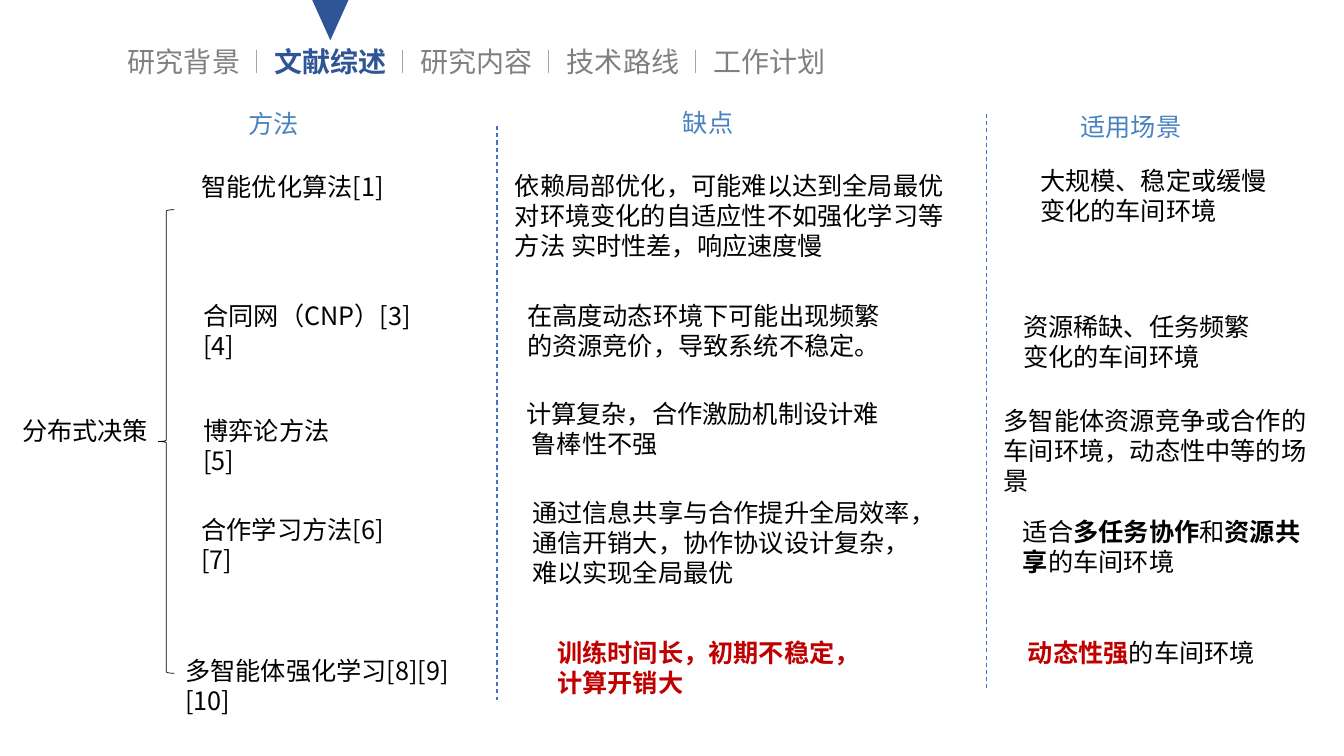
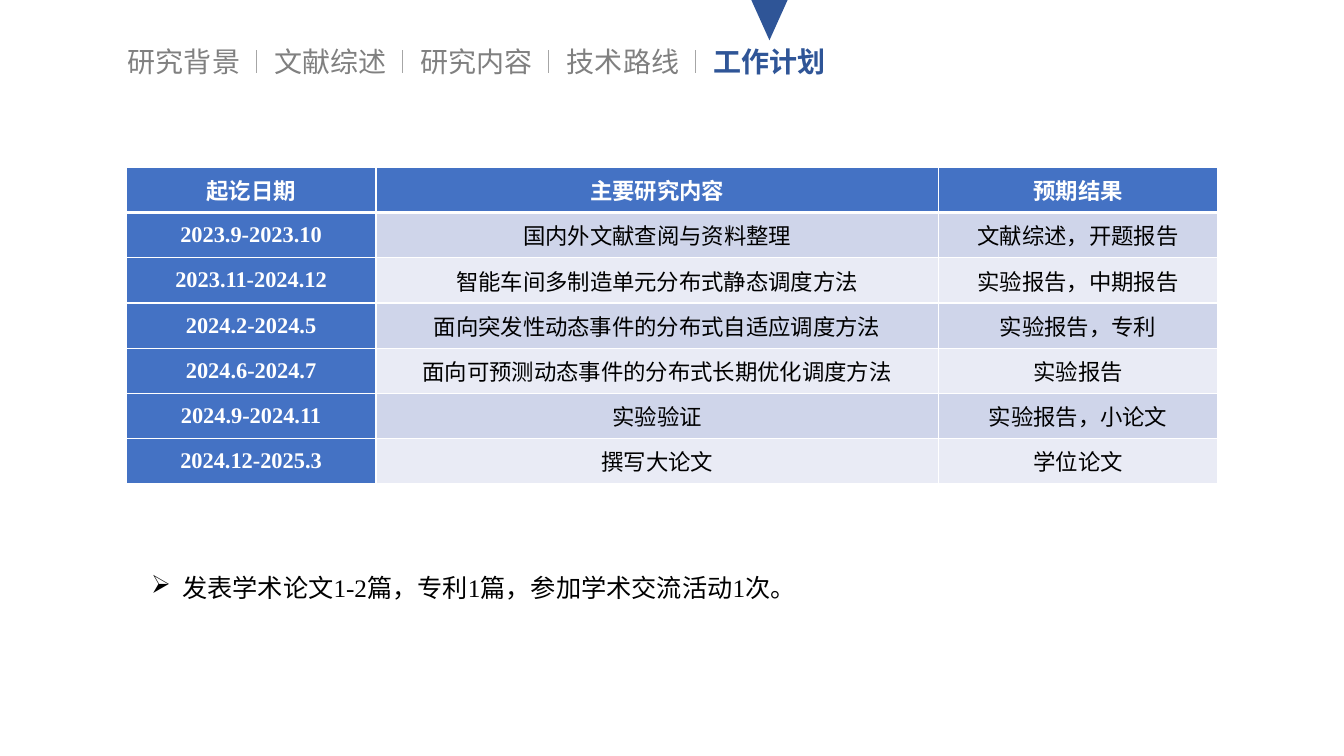
from lxml.etree import SubElement
from pptx import Presentation
from pptx.dml.color import RGBColor
from pptx.enum.dml import MSO_LINE
from pptx.enum.shapes import MSO_CONNECTOR, MSO_SHAPE
from pptx.enum.text import MSO_ANCHOR, MSO_AUTO_SIZE, PP_ALIGN
from pptx.oxml.ns import qn
from pptx.util import Inches, Pt

HUES = {
    "navy": "2F5597", "blue": "4472C4", "sky": "4883C0", "gray": "808080",
    "rule": "A6A6A6", "red": "C00000", "black": "000000", "white": "FFFFFF",
    "band": "CFD5EA", "pale": "E9EBF5",
}
SANS, SERIF = "Noto Sans CJK SC", "Times New Roman"
TABS = ["研究背景", "文献综述", "研究内容", "技术路线", "工作计划"]


def hue(name):
    return RGBColor.from_string(HUES[name])


def write(para, text, size=18, color="black", bold=False, font=SANS, align=None):
    """Add one run of formatted text to a paragraph."""
    if align:
        para.alignment = align
    run = para.add_run()
    run.text = text
    run.font.size, run.font.bold, run.font.name = Pt(size), bold, font
    run.font.color.rgb = hue(color)
    SubElement(run.font._element, qn("a:ea"), typeface=SANS)


class Deck:
    """Style and current slide; lengths are percent of slide width or height."""

    def __init__(self):
        self.prs = Presentation()
        self.prs.slide_width, self.prs.slide_height = Inches(13.33), Inches(7.5)

    def x(self, share):
        return round(self.prs.slide_width * share / 100)

    def y(self, share):
        return round(self.prs.slide_height * share / 100)

    def box(self, left, top, wide, high):
        return self.x(left), self.y(top), self.x(wide), self.y(high)

    def page(self, active):
        """Start a slide with the tab bar, marking the active tab."""
        self.slide = self.prs.slides.add_slide(self.prs.slide_layouts[6])
        step = 10.89
        for i, tab in enumerate(TABS):
            left = 8.78 + i * step
            on = i == active
            self.text(left, 5.2, 11.4, tab, size=20, bold=on,
                      color="navy" if on else "gray")
            if i:
                edge = 19.05 + (i - 1) * step
                self.line(edge, 6.67, 9.6, "rule", 0.5)
            if on:
                mark = self.shape(MSO_SHAPE.ISOSCELES_TRIANGLE,
                                  left + 3.56, 0, 2.7, 5.33, fill="navy")
                mark.rotation = 180

    def text(self, left, top, wide, body, bullet=None, **style):
        """Text box; body is a string or a list of (text, format) runs."""
        shape = self.slide.shapes.add_textbox(*self.box(left, top, wide, 5.33))
        frame = shape.text_frame
        frame.word_wrap = True
        frame.auto_size = MSO_AUTO_SIZE.SHAPE_TO_FIT_TEXT
        runs = [(body, {})] if isinstance(body, str) else body
        para = frame.paragraphs[0]
        if bullet:
            props = para._p.get_or_add_pPr()
            props.set("marL", str(Inches(0.31)))
            props.set("indent", str(-Inches(0.31)))
            SubElement(props, qn("a:buChar"), char=bullet)
        for words, extra in runs:
            for i, part in enumerate(words.split("\n")):
                if i:
                    para = frame.add_paragraph()
                write(para, part, **{**style, **extra})

    def shape(self, kind, left, top, wide, high, fill=None, line=None):
        shape = self.slide.shapes.add_shape(kind, *self.box(left, top, wide, high))
        shape.shadow.inherit = False
        if fill:
            shape.fill.solid()
            shape.fill.fore_color.rgb = hue(fill)
        else:
            shape.fill.background()
        if line:
            shape.line.color.rgb, shape.line.width = hue(line), Pt(0.5)
        else:
            shape.line.fill.background()
        return shape

    def line(self, left, top, end, color, width, dash=None):
        """Upright line from top to end."""
        link = self.slide.shapes.add_connector(
            MSO_CONNECTOR.STRAIGHT, self.x(left), self.y(top), self.x(left), self.y(end))
        link.line.color.rgb, link.line.width = hue(color), Pt(width)
        if dash:
            link.line.dash_style = dash
        SubElement(link._element.spPr, qn("a:effectLst"))

    def edges(self, cell, **widths):
        """White cell borders, in the order L, R, T, B."""
        props = cell._tc.get_or_add_tcPr()
        for side, width in widths.items():
            edge = SubElement(props, qn(f"a:ln{side}"), w=str(Pt(width)))
            fill = SubElement(edge, qn("a:solidFill"))
            SubElement(fill, qn("a:srgbClr"), val=HUES["white"])

    def table(self, left, top, cols, high, rows):
        frame = self.slide.shapes.add_table(
            len(rows), len(cols), *self.box(left, top, sum(cols), high * len(rows)))
        grid = frame.table
        for col, wide in zip(grid.columns, cols):
            col.width = self.x(wide)
        for r, row in enumerate(rows):
            grid.rows[r].height = self.y(high)
            for c, words in enumerate(row):
                cell = grid.cell(r, c)
                head = r == 0 or c == 0
                self.edges(cell, L=1, R=1, T=3 if r == 1 else 1, B=1 if r else 3)
                cell.fill.solid()
                fill = "blue" if head else "band" if r % 2 else "pale"
                cell.fill.fore_color.rgb = hue(fill)
                cell.vertical_anchor = MSO_ANCHOR.MIDDLE
                cell.margin_left = cell.margin_right = Inches(0.07)
                cell.margin_top = cell.margin_bottom = 0
                write(cell.text_frame.paragraphs[0], words, size=16, bold=head,
                      color="white" if head else "black",
                      font=SERIF if r else SANS, align=PP_ALIGN.CENTER)


def review(deck):
    deck.page(1)
    # Column heads and dividers
    for mid, top, head in [(20.36, 13.73, "方法"), (52.69, 13.6, "缺点"),
                           (84.15, 14, "适用场景")]:
        deck.text(mid - 6, top, 12, head, color="sky", align=PP_ALIGN.CENTER)
    for left, top in [(36.98, 16.67), (73.43, 15.07)]:
        deck.line(left, top, top + 75.87, "blue", 0.75, MSO_LINE.DASH)
    # Root of the tree
    deck.text(0.9, 54.27, 12, "分布式决策")
    deck.shape(MSO_SHAPE.LEFT_BRACE, 11.78, 27.73, 1.2, 61.33, line="black")
    # Methods, drawbacks and uses: left, top, width, text
    strong, alert = {"bold": True}, {"bold": True, "color": "red"}
    for item in [
        (14.25, 22, 16.5, "智能优化算法[1]"),
        (14.4, 39.07, 18.75, "合同网（CNP）[3][4]"),
        (14.4, 54.27, 13.05, "博弈论方法[5]"),
        (14.25, 67.33, 17.1, "合作学习方法[6][7]"),
        (13.05, 86, 24, "多智能体强化学习[8][9][10]"),
        (37.58, 21.87, 35, "依赖局部优化，可能难以达到全局最优\n"
         "对环境变化的自适应性不如强化学习等方法 实时性差，响应速度慢"),
        (38.48, 39.07, 28.88, "在高度动态环境下可能出现频繁的资源竞价，导致系统不稳定。"),
        (38.4, 52, 29, "计算复杂，合作激励机制设计难\n 鲁棒性不强"),
        (38.85, 65.07, 31.28,
         "通过信息共享与合作提升全局效率，通信开销大，协作协议设计复杂，难以实现全局最优"),
        (40.73, 83.6, 25.5, [("训练时间长，初期不稳定，计算开销大", alert)]),
        (76.65, 21.2, 19.65, "大规模、稳定或缓慢变化的车间环境"),
        (75.38, 40.53, 19.65, "资源稀缺、任务频繁变化的车间环境"),
        (73.95, 52.93, 24.98, "多智能体资源竞争或合作的车间环境，动态性中等的场景"),
        (75.38, 67.6, 22.5, [("适合", {}), ("多任务协作", strong), ("和", {}),
                             ("资源共享", strong), ("的车间环境", {})]),
        (75.75, 83.6, 19.5, [("动态性强", alert), ("的车间环境", {})]),
    ]:
        deck.text(*item)


def plan(deck):
    deck.page(4)
    # Schedule
    deck.table(9.38, 22.13, [18.6, 41.85, 20.78], 5.98, [
        ("起讫日期", "主要研究内容", "预期结果"),
        ("2023.9-2023.10", "国内外文献查阅与资料整理", "文献综述，开题报告"),
        ("2023.11-2024.12", "智能车间多制造单元分布式静态调度方法", "实验报告，中期报告"),
        ("2024.2-2024.5", "面向突发性动态事件的分布式自适应调度方法", "实验报告，专利"),
        ("2024.6-2024.7", "面向可预测动态事件的分布式长期优化调度方法", "实验报告"),
        ("2024.9-2024.11", "实验验证", "实验报告，小论文"),
        ("2024.12-2025.3", "撰写大论文", "学位论文"),
    ])
    # Expected output
    deck.text(10.5, 75.07, 67.43, "发表学术论文1-2篇，专利1篇，参加学术交流活动1次。",
              bullet="➢", font=SERIF)


def main():
    deck = Deck()
    review(deck)
    plan(deck)
    deck.prs.save("out.pptx")


if __name__ == "__main__":
    main()
